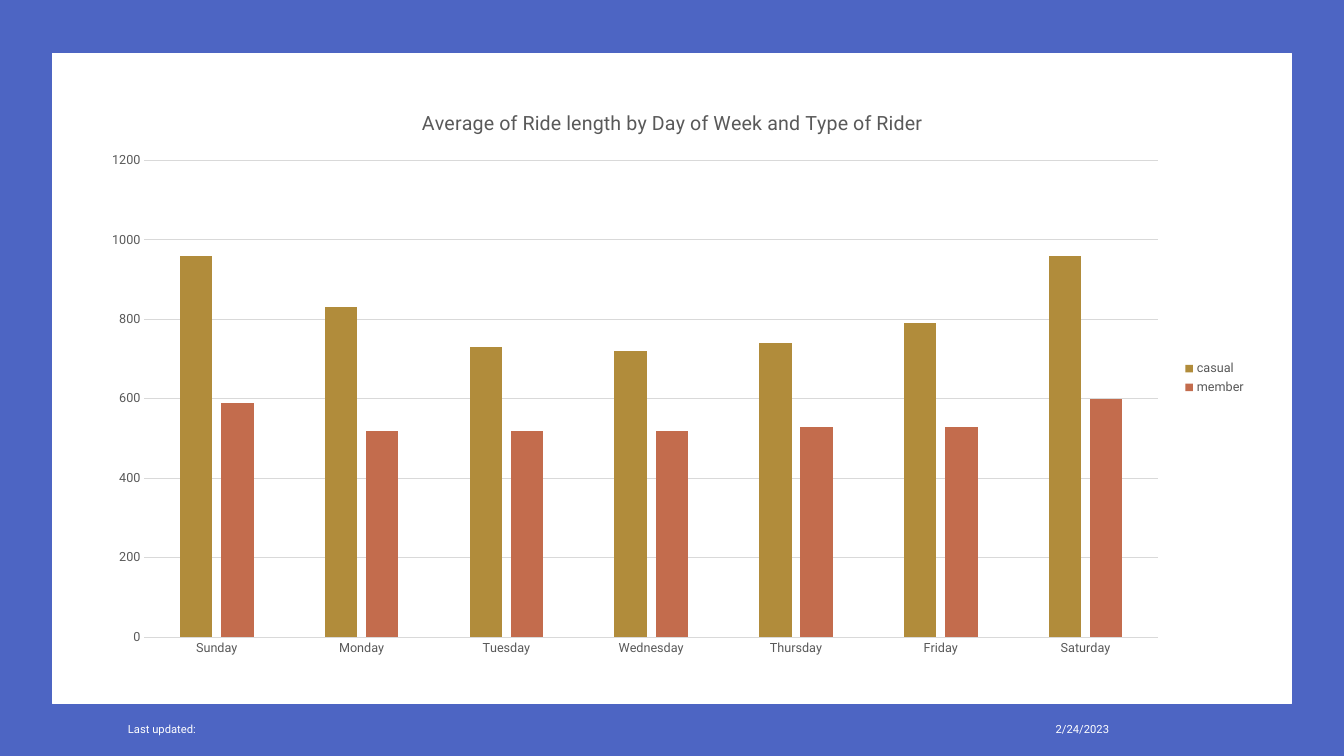
"""Builds a slide with a column chart of average ride length by weekday and rider type."""
from pptx import Presentation
from pptx.chart.data import CategoryChartData
from pptx.dml.color import RGBColor
from pptx.enum.chart import XL_CHART_TYPE, XL_LEGEND_POSITION, XL_TICK_MARK
from pptx.enum.shapes import MSO_SHAPE
from pptx.enum.text import MSO_ANCHOR, PP_ALIGN
from pptx.util import Inches, Pt

BLUE = RGBColor(0x4D, 0x65, 0xC3)
WHITE = RGBColor(0xFF, 0xFF, 0xFF)
GREY = RGBColor(0x59, 0x59, 0x59)
RULE = RGBColor(0xD9, 0xD9, 0xD9)
OCHRE = RGBColor(0xB1, 0x8C, 0x3B)
RUST = RGBColor(0xC3, 0x6C, 0x4D)
FONT = "Roboto"

TITLE = "Average of Ride length by Day of Week and Type of Rider"
DAYS = ["Sunday", "Monday", "Tuesday", "Wednesday", "Thursday", "Friday", "Saturday"]
RIDERS = [
    ("casual", OCHRE, [960, 830, 730, 720, 740, 790, 960]),
    ("member", RUST, [590, 520, 520, 520, 530, 530, 600]),
]
PANELS = [
    ((0, 0, 13.33, 7.5), BLUE, None),
    ((0.52, 0.53, 12.29, 6.45), WHITE, WHITE),
]
FOOTERS = [
    ("Last updated:", (1.17, 6.95, 6.36, 0.4), PP_ALIGN.LEFT),
    ("2/24/2023", (7.94, 6.95, 3.16, 0.4), PP_ALIGN.RIGHT),
]
CHART_PLACE = (0.88, 0.88, 11.58, 5.74)


def inches(place):
    return [Inches(length) for length in place]


def set_font(font, size, color):
    font.name = FONT
    font.size = Pt(size)
    font.bold = False
    font.color.rgb = color


def set_line(line, color, width):
    line.color.rgb = color
    line.width = Pt(width)


def add_panel(page, place, fill, outline):
    panel = page.shapes.add_shape(MSO_SHAPE.RECTANGLE, *inches(place))
    panel.shadow.inherit = False
    panel.fill.solid()
    panel.fill.fore_color.rgb = fill
    if outline is None:
        panel.line.fill.background()
    else:
        set_line(panel.line, outline, 1)


def add_footer(page, text, place, alignment):
    frame = page.shapes.add_textbox(*inches(place)).text_frame
    frame.word_wrap = True
    frame.vertical_anchor = MSO_ANCHOR.BOTTOM
    para = frame.paragraphs[0]
    para.text = text
    para.alignment = alignment
    para.space_after = Pt(6)
    set_font(para.font, 8, WHITE)


def add_ride_chart(page):
    data = CategoryChartData()
    data.categories = DAYS
    for rider, _, lengths in RIDERS:
        data.add_series(rider, lengths)
    chart = page.shapes.add_chart(
        XL_CHART_TYPE.COLUMN_CLUSTERED, *inches(CHART_PLACE), data
    ).chart
    set_font(chart.font, 10, GREY)

    chart.has_title = True
    title = chart.chart_title.text_frame.paragraphs[0]
    title.text = TITLE
    set_font(title.font, 14, GREY)
    chart.chart_title.include_in_layout = False

    chart.has_legend = True
    chart.legend.position = XL_LEGEND_POSITION.RIGHT
    chart.legend.include_in_layout = False
    set_font(chart.legend.font, 9, GREY)

    for axis in (chart.category_axis, chart.value_axis):
        axis.major_tick_mark = XL_TICK_MARK.NONE
        axis.minor_tick_mark = XL_TICK_MARK.NONE
        set_font(axis.tick_labels.font, 9, GREY)
    set_line(chart.category_axis.format.line, RULE, 0.75)
    values = chart.value_axis
    values.minimum_scale, values.maximum_scale, values.major_unit = 0, 1200, 200
    values.format.line.fill.background()
    set_line(values.major_gridlines.format.line, RULE, 0.75)

    plot = chart.plots[0]
    plot.vary_by_categories = False
    plot.gap_width = 219
    plot.overlap = -27
    for series, (_, color, _) in zip(plot.series, RIDERS):
        series.format.fill.solid()
        series.format.fill.fore_color.rgb = color


def main():
    deck = Presentation()
    deck.slide_width, deck.slide_height = Inches(13.33), Inches(7.5)
    page = deck.slides.add_slide(deck.slide_layouts[6])
    for panel in PANELS:
        add_panel(page, *panel)
    for footer in FOOTERS:
        add_footer(page, *footer)
    add_ride_chart(page)
    deck.save("out.pptx")


if __name__ == "__main__":
    main()
